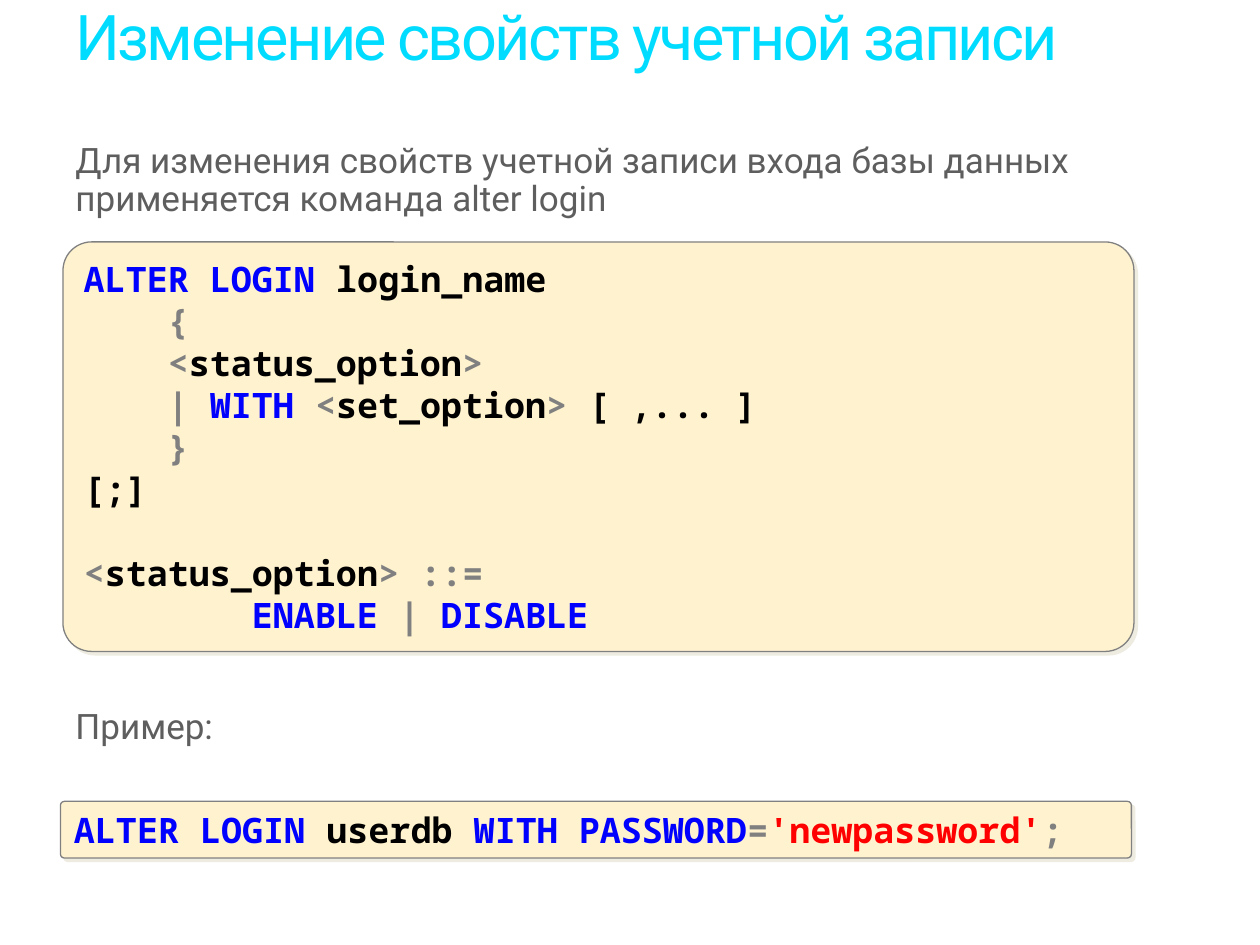
from dataclasses import dataclass

from lxml import etree
from pptx import Presentation
from pptx.dml.color import RGBColor
from pptx.enum.shapes import MSO_SHAPE
from pptx.enum.text import MSO_ANCHOR, PP_ALIGN
from pptx.oxml.ns import qn
from pptx.util import Inches, Pt

ROUND_RECT = MSO_SHAPE.ROUNDED_RECTANGLE
MIDDLE, TOP = MSO_ANCHOR.MIDDLE, MSO_ANCHOR.TOP
LEFT = PP_ALIGN.LEFT

COLORS = {
    "title": "00DCFF", "body": "5E5E5E", "panel": "FFF3CF",
    "border": "808080", "shadow": "EEECE1",
    "keyword": "0000FF", "name": "000000", "symbol": "808080", "string": "FF0000",
}
TEXT_FONT, CODE_FONT = "Roboto", "Noto Sans Mono"
CODE_SIZE = 20
CHAR_WIDTH = 0.6 * CODE_SIZE / 72  # inches per monospaced character
LINE_HEIGHT = 1.2 * CODE_SIZE      # points


@dataclass
class Label:
    text: str
    box: tuple[float, float, float, float]
    size: float
    color: str
    spacing: float = 0


@dataclass
class CodeLine:
    tokens: list[tuple[str, str]]  # (text, colour name)
    indent: int = 0                # characters
    gap: int = 0                   # empty lines above


@dataclass
class CodePanel:
    box: tuple[float, float, float, float]
    lines: list[CodeLine]


LABELS = [
    Label("Изменение свойств учетной записи", (0.5, 0, 8.5, 0.81), 36, "title", -1.5),
    Label("Для изменения свойств учетной записи входа базы данных "
          "применяется команда alter login", (0.5, 1.09, 8.48, 0.75), 20, "body"),
    Label("Пример:", (0.5, 5.58, 8.48, 0.4), 20, "body"),
]

PANELS = [
    # Syntax
    CodePanel((0.5, 1.92, 8.5, 3.25), [
        CodeLine([("ALTER LOGIN ", "keyword"), ("login_name", "name")]),
        CodeLine([("{", "symbol")], 4),
        CodeLine([("<", "symbol"), ("status_option", "name"), (">", "symbol")], 4),
        CodeLine([("| ", "symbol"), ("WITH ", "keyword"), ("<", "symbol"),
                  ("set_option", "name"), (">", "symbol"), (" [ ,... ]", "name")], 4),
        CodeLine([("}", "symbol")], 4),
        CodeLine([("[;]", "name")]),
        CodeLine([("<", "symbol"), ("status_option", "name"), ("> ::=", "symbol")], gap=1),
        CodeLine([("ENABLE ", "keyword"), ("| ", "symbol"), ("DISABLE", "keyword")], 8),
    ]),
    # Example
    CodePanel((0.48, 6.36, 8.5, 0.45), [
        CodeLine([("ALTER LOGIN ", "keyword"), ("userdb ", "name"),
                  ("WITH PASSWORD", "keyword"), ("=", "symbol"),
                  ("'newpassword'", "string"), (";", "symbol")]),
    ]),
]


def rgb(name: str) -> RGBColor:
    return RGBColor.from_string(COLORS[name])


def style_run(r, font: str, size: float, color: str, bold: bool = False) -> None:
    r.font.name, r.font.size, r.font.bold = font, Pt(size), bold
    r.font.color.rgb = rgb(color)


def add_label(s, label: Label) -> None:
    tf = s.shapes.add_textbox(*map(Inches, label.box)).text_frame
    tf.word_wrap = True
    tf.vertical_anchor = TOP
    tf.text = label.text
    p = tf.paragraphs[0]
    p.line_spacing = 0.9
    r = p.runs[0]
    style_run(r, TEXT_FONT, label.size, label.color)
    if label.spacing:
        r.font._element.set("spc", str(round(label.spacing * 100)))


def add_shadow(sp) -> None:
    sp.shadow.inherit = False
    effects = sp._element.spPr.find(qn("a:effectLst"))
    outer = etree.SubElement(effects, qn("a:outerShdw"), blurRad="0",
                             dist=str(Pt(2.8)), dir=str(45 * 60000),
                             algn="ctr", rotWithShape="0")
    etree.SubElement(outer, qn("a:srgbClr"), val=COLORS["shadow"])


def add_code_panel(s, panel: CodePanel) -> None:
    sp = s.shapes.add_shape(ROUND_RECT, *map(Inches, panel.box))
    sp.adjustments[0] = 0.07
    sp.fill.solid()
    sp.fill.fore_color.rgb = rgb("panel")
    sp.line.color.rgb = rgb("border")
    sp.line.width = Pt(0.75)
    add_shadow(sp)
    tf = sp.text_frame
    tf.word_wrap = True
    tf.vertical_anchor = MIDDLE
    for i, line in enumerate(panel.lines):
        p = tf.add_paragraph() if i else tf.paragraphs[0]
        p.alignment = LEFT
        p.space_before = Pt(line.gap * LINE_HEIGHT)
        p._p.get_or_add_pPr().set("marL", str(Inches(line.indent * CHAR_WIDTH)))
        for text, color in line.tokens:
            r = p.add_run()
            r.text = text
            style_run(r, CODE_FONT, CODE_SIZE, color, bold=True)


def main() -> None:
    prs = Presentation()
    prs.slide_width, prs.slide_height = Inches(10), Inches(7.5)
    s = prs.slides.add_slide(prs.slide_layouts[6])
    # Title and explanations
    for label in LABELS:
        add_label(s, label)
    # Code
    for panel in PANELS:
        add_code_panel(s, panel)
    prs.save("out.pptx")


if __name__ == "__main__":
    main()
